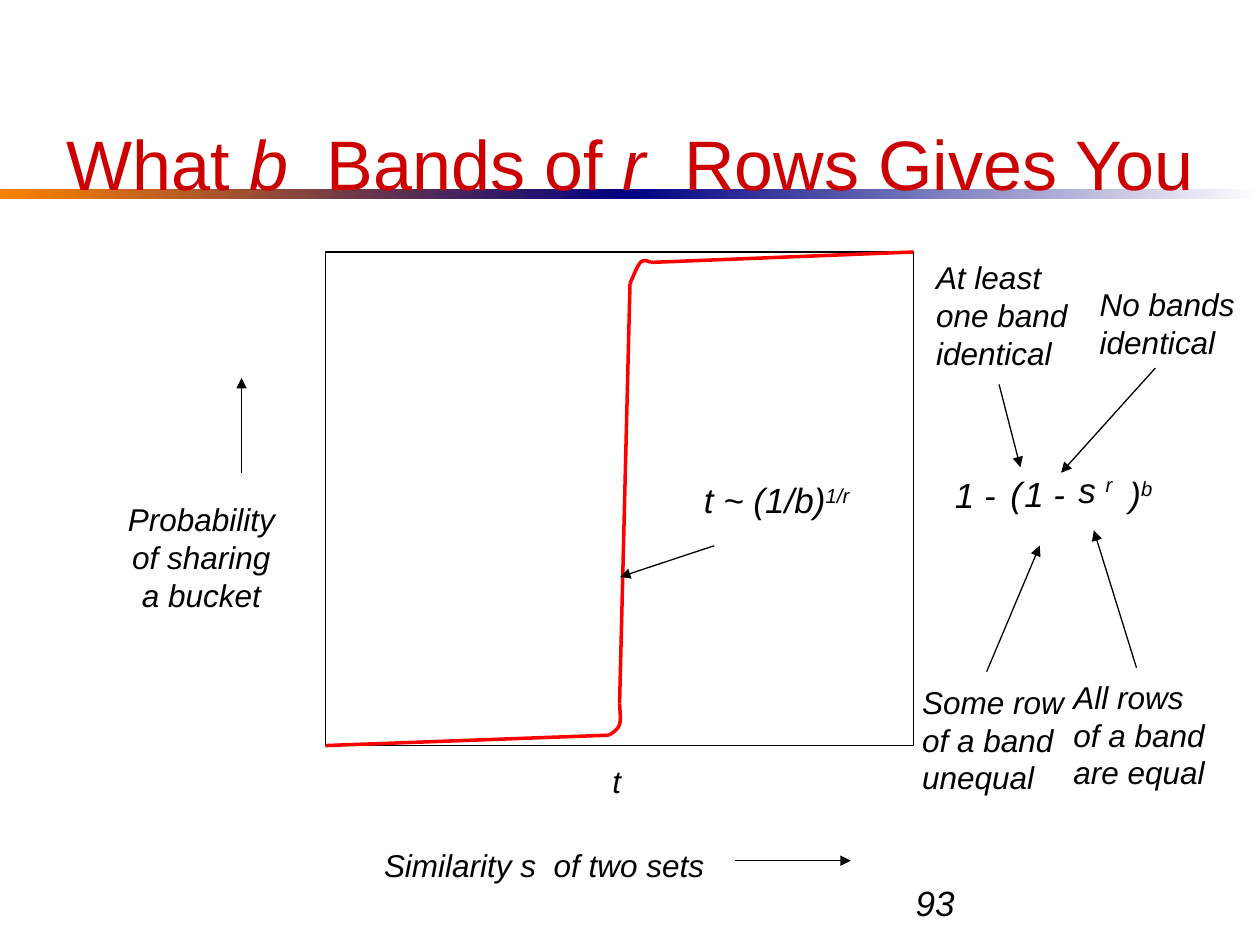
import pptx
import pptx.util
import pptx.dml.color
import pptx.enum.shapes
import pptx.enum.text
import pptx.oxml.ns
from lxml import etree

Cm = pptx.util.Cm
Pt = pptx.util.Pt
RGBColor = pptx.dml.color.RGBColor
ALIGN = pptx.enum.text.PP_ALIGN
ANCHOR = pptx.enum.text.MSO_ANCHOR
AUTO_SIZE = pptx.enum.text.MSO_AUTO_SIZE
RECTANGLE = pptx.enum.shapes.MSO_SHAPE.RECTANGLE
STRAIGHT = pptx.enum.shapes.MSO_CONNECTOR.STRAIGHT
qn = pptx.oxml.ns.qn

BLACK = RGBColor(0, 0, 0)
WHITE = RGBColor(255, 255, 255)
ORANGE = RGBColor(0xFF, 0x82, 0x00)
NAVY = RGBColor(0x00, 0x00, 0x82)
TITLE_RED = RGBColor(0xCC, 0, 0)
CURVE_RED = RGBColor(0xFF, 0, 0)

SLIDE_WIDTH, SLIDE_HEIGHT = 25.4, 19.05
RULE_TOP, RULE_HEIGHT = 3.81, 0.2
RULE_COLOURS = [(ORANGE, NAVY), (NAVY, WHITE)]

TITLE = [["What ", ("b", "italic"), "  Bands of ", ("r", "italic"), "  Rows Gives You"]]
TITLE_BOX = (0, 1.69, 25.4, 3.18)
PAGE_NUMBER_BOX = (18.21, 17.65, 5.92, 1.02)

AXIS_LABELS = [
    ([["Similarity s  of two sets"]], (7.49, 16.94, 6.96, 1.02)),
    ([["Probability"], ["of sharing"], ["a bucket"]], (2.31, 9.96, 3.5, 2.54)),
    ([["t"]], (12.09, 15.24, 0.69, 1.02)),
]
FORMULA_PARTS = [
    ([["1 -"]], (19, 9.42, 1.35, 1.12)),
    ([["("]], (20.12, 9.4, 0.74, 1.12)),
    ([["1 -"]], (20.4, 9.4, 1.35, 1.12)),
    ([["s ", ("r", "super")]], (21.49, 9.32, 1.3, 1.12)),
    ([[")", ("b", "super")]], (22.52, 9.4, 1.07, 1.12)),
    ([["t ~ (1/b)", ("1/r", "super")]], (13.94, 9.53, 3.56, 1.12)),
]
EXPLANATIONS = [
    ([["At least"], ["one band"], ["identical"]], (18.62, 5.08, 3.15, 2.54)),
    ([["No bands"], ["identical"]], (21.92, 5.63, 3.23, 1.78)),
    ([["Some row"], ["of a band"], ["unequal"]], (18.34, 13.64, 3.4, 2.54)),
    ([["All rows"], ["of a band"], ["are equal"]], (21.39, 13.54, 3.15, 2.54)),
]
ARROWS = [
    ((14.81, 17.35), (17.15, 17.35)),
    ((4.87, 9.53), (4.87, 7.62)),
    ((22.91, 13.46), (22.05, 10.69)),
    ((19.89, 13.54), (20.96, 11)),
    ((23.29, 7.42), (21.39, 9.53)),
    ((20.14, 7.75), (20.57, 9.42)),
    ((14.4, 11), (12.5, 11.63)),
]

PLOT_FRAME = (6.56, 5.08, 11.85, 9.95)
CURVE_LINES = [
    ((6.56, 15.03), (12.28, 14.82)),
    ((12.49, 14.18), (12.7, 5.72)),
    ((13.12, 5.29), (18.41, 5.08)),
]
CURVE_BENDS = [
    [(12.28, 14.82), (12.37, 14.76), (12.45, 14.71), (12.49, 14.61),
     (12.52, 14.5), (12.5, 14.35), (12.49, 14.18)],
    [(12.7, 5.72), (12.78, 5.54), (12.85, 5.36), (12.91, 5.29),
     (12.98, 5.23), (13.06, 5.26), (13.12, 5.29)],
]
BEND_STEPS = 8

deck = pptx.Presentation()
deck.slide_width, deck.slide_height = Cm(SLIDE_WIDTH), Cm(SLIDE_HEIGHT)
slide = deck.slides.add_slide(deck.slide_layouts[6])


def lengths(values):
    return [Cm(value) for value in values]


def add_text(lines, box, size=18, colour=BLACK, italic=True, align=ALIGN.LEFT,
             anchor=ANCHOR.TOP, wrap=False):
    frame = slide.shapes.add_textbox(*lengths(box)).text_frame
    frame.word_wrap = wrap
    frame.auto_size = AUTO_SIZE.NONE if wrap else AUTO_SIZE.SHAPE_TO_FIT_TEXT
    frame.vertical_anchor = anchor
    for index, line in enumerate(lines):
        paragraph = frame.paragraphs[0] if index == 0 else frame.add_paragraph()
        paragraph.alignment = align
        for part in line:
            words, style = (part, "") if isinstance(part, str) else part
            run = paragraph.add_run()
            run.text = words
            run.font.name = "Arial"
            run.font.size = Pt(size)
            run.font.color.rgb = colour
            run.font.italic = italic or style == "italic"
            if style == "super":
                run.font._element.set("baseline", "30000")


def add_line(start, end, colour=BLACK, width=0.75, arrow=False):
    line = slide.shapes.add_connector(STRAIGHT, *lengths(start + end))
    line.line.color.rgb = colour
    line.line.width = Pt(width)
    if arrow:
        etree.SubElement(line.line._get_or_add_ln(), qn("a:tailEnd"), type="triangle")
    etree.SubElement(line._element.spPr, qn("a:effectLst"))


def bezier(controls, t):
    weights = ((1 - t) ** 3, 3 * t * (1 - t) ** 2, 3 * t * t * (1 - t), t ** 3)
    return [Cm(sum(w * c for w, c in zip(weights, axis))) for axis in zip(*controls)]


def add_bend(controls):
    points = [bezier(controls[first:first + 4], step / BEND_STEPS)
              for first in (0, 3) for step in range(1, BEND_STEPS + 1)]
    builder = slide.shapes.build_freeform(*lengths(controls[0]))
    builder.add_line_segments(points, close=False)
    bend = builder.convert_to_shape()
    bend.shadow.inherit = False
    bend.fill.background()
    bend.line.color.rgb = CURVE_RED
    bend.line.width = Pt(2)


half = SLIDE_WIDTH / 2
for index, colours in enumerate(RULE_COLOURS):
    rule = slide.shapes.add_shape(
        RECTANGLE, *lengths((index * half, RULE_TOP, half, RULE_HEIGHT)))
    rule.shadow.inherit = False
    rule.line.fill.background()
    rule.fill.gradient()
    rule.fill.gradient_angle = 0
    for stop, colour in zip(rule.fill.gradient_stops, colours):
        stop.color.rgb = colour

add_text([["93"]], PAGE_NUMBER_BOX, size=20, wrap=True)
add_text(TITLE, TITLE_BOX, size=40, colour=TITLE_RED, italic=False,
         align=ALIGN.CENTER, anchor=ANCHOR.MIDDLE, wrap=True)

plot = slide.shapes.add_shape(RECTANGLE, *lengths(PLOT_FRAME))
plot.shadow.inherit = False
plot.fill.background()
plot.line.color.rgb = BLACK
plot.line.width = Pt(0.75)

for lines, box in AXIS_LABELS:
    add_text(lines, box, align=ALIGN.CENTER)
for start, end in CURVE_LINES:
    add_line(start, end, colour=CURVE_RED, width=2)
for controls in CURVE_BENDS:
    add_bend(controls)
for lines, box in FORMULA_PARTS:
    add_text(lines, box, size=20)
for lines, box in EXPLANATIONS:
    add_text(lines, box)
for start, end in ARROWS:
    add_line(start, end, arrow=True)

deck.save("out.pptx")
